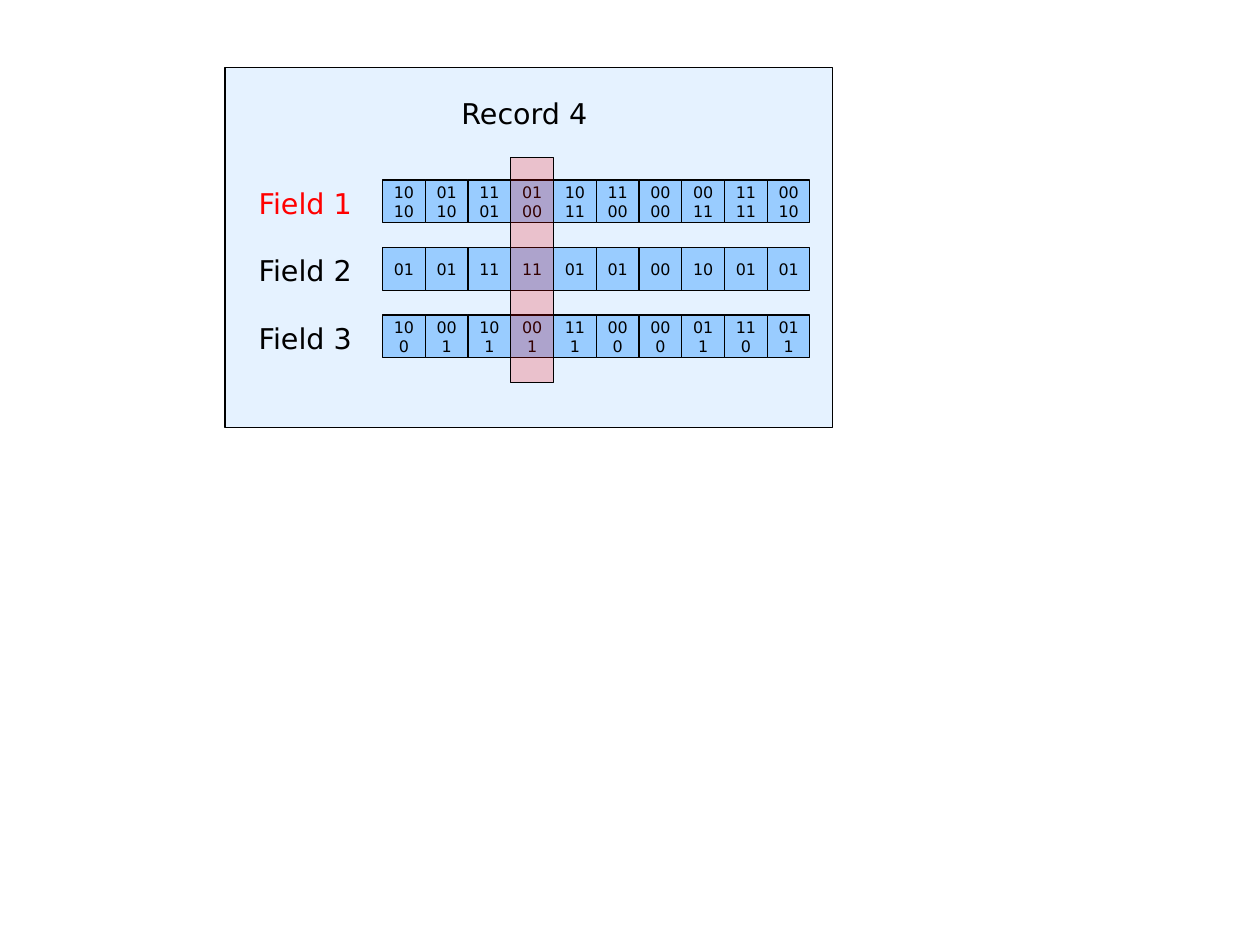
from lxml import etree
from pptx import Presentation
from pptx.dml.color import RGBColor
from pptx.enum import shapes, text
from pptx.oxml.ns import qn
from pptx.util import Inches, Pt

TITLE = "Record 4"
FIELDS = [
    ("Field 1", "1010 0110 1101 0100 1011 1100 0000 0011 1111 0010".split()),
    ("Field 2", "01 01 11 11 01 01 00 10 01 01".split()),
    ("Field 3", "100 001 101 001 111 000 000 011 110 011".split()),
]
MARKED_ROW, MARKED_COL = 0, 3

THEME = dict(font="DejaVu Sans", ink="000000", mark="FF0000", blue="99CCFF",
             large=18, small=10)

# Layout on a metric grid, in centimetres
PAGE = 28, 21
PANEL = 5, 1.5, 13.5, 8
HEADING = 10, 2, 3.3, 1
LEFT, TOP = 8.5, 4
CELL, PITCH = 0.95, 1.5
LABEL_X, LABEL_W, LABEL_H = 5.5, 2.57, 1
BAND_TOP, BAND_H = 3.5, 5


def metric(*sizes):
    """Turn centimetres into slide lengths."""
    return [Inches(size / 2.54) for size in sizes]


def color(name):
    return RGBColor.from_string(THEME[name])


def add_box(parent, x, y, w, h, fill, alpha=None):
    """Add a hairline rectangle; alpha is its opacity in percent."""
    box = parent.add_shape(shapes.MSO_SHAPE.RECTANGLE, *metric(x, y, w, h))
    box.shadow.inherit = False
    box.fill.solid()
    box.fill.fore_color.rgb = color(fill)
    box.line.color.rgb = color("ink")
    box.line.width = Pt(0)
    if alpha is not None:
        tint = box._element.spPr.find(qn("a:solidFill"))[0]
        etree.SubElement(tint, qn("a:alpha"), val=str(alpha * 1000))
    return box


def write(shape, words, size, ink="ink", align=text.PP_ALIGN.LEFT):
    para = shape.text_frame.paragraphs[0]
    para.text = words
    para.alignment = align
    para.font.name = THEME["font"]
    para.font.size = Pt(THEME[size])
    para.font.color.rgb = color(ink)


def set_label(shape, words, ink="ink"):
    frame = shape.text_frame
    frame.word_wrap = False
    frame.auto_size = text.MSO_AUTO_SIZE.NONE
    frame.vertical_anchor = text.MSO_ANCHOR.TOP
    frame.margin_right = 0
    write(shape, words, "large", ink)


def add_cell(parent, x, y, bits):
    cell = add_box(parent, x, y, CELL, CELL, "blue")
    frame = cell.text_frame
    frame.word_wrap = True
    frame.vertical_anchor = text.MSO_ANCHOR.MIDDLE
    # Narrow side margins leave room for exactly two digits a line
    frame.margin_left = frame.margin_right = Inches(0.09)
    write(cell, bits, "small", align=text.PP_ALIGN.CENTER)


def main():
    deck = Presentation()
    deck.slide_width, deck.slide_height = metric(*PAGE)
    slide = deck.slides.add_slide(deck.slide_layouts[5])
    tree = slide.shapes

    add_box(tree, *PANEL, "blue", alpha=25)

    title = tree.title
    title.left, title.top, title.width, title.height = metric(*HEADING)
    set_label(title, TITLE)
    tree._spTree.append(title._element)  # bring in front of the panel

    for row, (name, codes) in enumerate(FIELDS):
        y = TOP + row * PITCH
        label = tree.add_textbox(*metric(LABEL_X, y, LABEL_W, LABEL_H))
        set_label(label, name, "mark" if row == MARKED_ROW else "ink")
        group = tree.add_group_shape()
        for col, bits in enumerate(codes):
            add_cell(group.shapes, LEFT + col * CELL, y, bits)

    add_box(tree, LEFT + MARKED_COL * CELL, BAND_TOP, CELL, BAND_H,
            "mark", alpha=20)
    deck.save("out.pptx")


if __name__ == "__main__":
    main()
